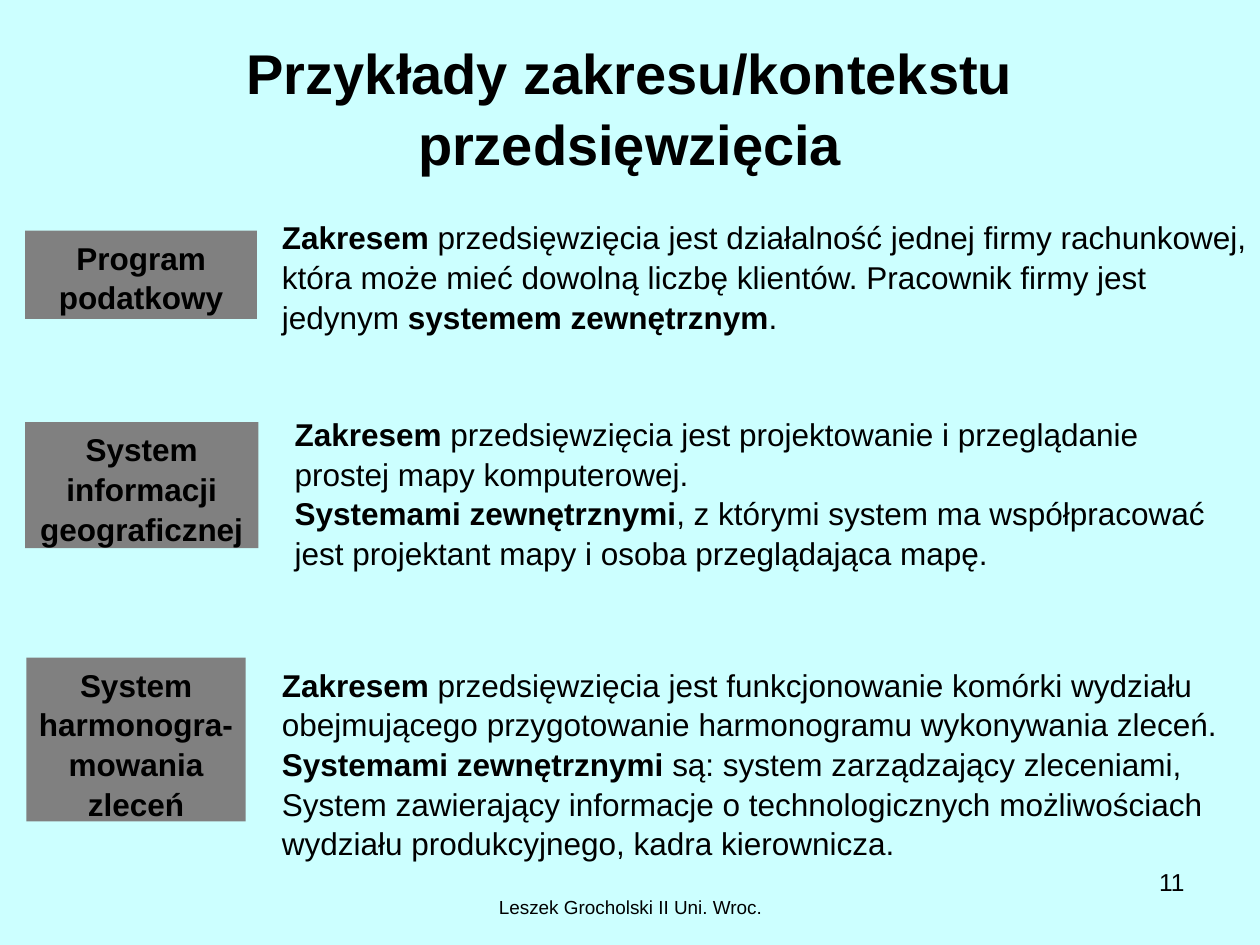
from pptx import Presentation
from pptx.dml.color import RGBColor
from pptx.enum import shapes, text
from pptx.util import Pt

BLACK, GREY, PALE_CYAN = "000000", "808080", "CCFFFF"
ALIGN = text.PP_ALIGN


def paint(fill, colour):
    fill.solid()
    fill.fore_color.rgb = RGBColor.from_string(colour)


def write(shape, paras, size, align=ALIGN.LEFT, spacing=1.05,
          anchor=text.MSO_ANCHOR.TOP, wrap=True):
    """Fill a shape with paragraphs, each a list of (wording, bold) spans."""
    frame = shape.text_frame
    frame.word_wrap = wrap
    frame.vertical_anchor = anchor
    frame.margin_left = frame.margin_right = Pt(7.2)
    frame.margin_top = frame.margin_bottom = Pt(3.6)
    for index, spans in enumerate(paras):
        para = frame.add_paragraph() if index else frame.paragraphs[0]
        para.alignment = align
        para.line_spacing = spacing
        for wording, bold in spans:
            span = para.add_run()
            span.text = wording
            span.font.name = "Arial"
            span.font.size = Pt(size)
            span.font.bold = bold
            paint(span.font.fill, BLACK)


def add_text(page, box, paras, size, **style):
    shape = page.shapes.add_textbox(*map(Pt, box))
    write(shape, paras, size, **style)


def add_example(page, label_box, label_lines, scope_box, scope, wrap=True):
    """A grey label on the left and the description of its scope."""
    label = page.shapes.add_shape(shapes.MSO_SHAPE.RECTANGLE, *map(Pt, label_box))
    label.shadow.inherit = False
    paint(label.fill, GREY)
    label.line.fill.background()
    write(label, [[(line, True)] for line in label_lines], 18,
          align=ALIGN.CENTER, wrap=wrap)
    add_text(page, scope_box, scope, 18)


deck = Presentation()
deck.slide_width, deck.slide_height = Pt(720), Pt(540)
page = deck.slides.add_slide(deck.slide_layouts[6])
paint(page.background.fill, PALE_CYAN)

# Title
add_text(page, (36, 9.4, 648, 102.2),
         [[("Przykłady zakresu/kontekstu przedsięwzięcia", True)]], 32,
         align=ALIGN.CENTER, anchor=text.MSO_ANCHOR.MIDDLE)

# Examples: label box, label lines, scope box, scope text, label wrapping
examples = [
    ((14.4, 131.8, 132.5, 50.4), ["Program", "podatkowy"],
     (154, 120.2, 566.5, 96.5),
     [[("Zakresem", True),
       (" przedsięwzięcia jest działalność jednej firmy rachunkowej, która może "
        "mieć dowolną liczbę klientów. Pracownik firmy jest jedynym ", False),
       ("systemem zewnętrznym", True), (".", False)]], True),
    ((14.4, 241.2, 133.2, 72), ["System", "informacji", "geograficznej"],
     (161.3, 232.6, 553.7, 93.6),
     [[("Zakresem", True),
       (" przedsięwzięcia jest projektowanie i przeglądanie prostej mapy "
        "komputerowej.", False)],
      [("Systemami zewnętrznymi", True),
       (", z którymi system ma współpracować jest projektant mapy i osoba "
        "przeglądająca mapę.", False)]], True),
    ((15.1, 375.8, 125.3, 93.6), ["System", "harmonogra-", "mowania", "zleceń"],
     (154, 375.8, 565.2, 115.2),
     [[("Zakresem", True),
       (" przedsięwzięcia jest funkcjonowanie komórki wydziału obejmującego "
        "przygotowanie harmonogramu wykonywania zleceń.", False)],
      [("Systemami zewnętrznymi", True),
       (" są: system zarządzający zleceniami, System zawierający informacje o "
        "technologicznych możliwościach wydziału produkcyjnego, kadra "
        "kierownicza.", False)]], False),
]
for example in examples:
    add_example(page, *example)

# Footer and page number
add_text(page, (246.2, 508.3, 228.2, 20.9),
         [[("Leszek Grocholski II Uni. Wroc.", False)]], 10.8,
         align=ALIGN.CENTER, spacing=1.0)
add_text(page, (516.2, 491.8, 167.8, 37.4), [[("11", False)]], 14,
         align=ALIGN.RIGHT, spacing=1.0)

deck.save("out.pptx")
